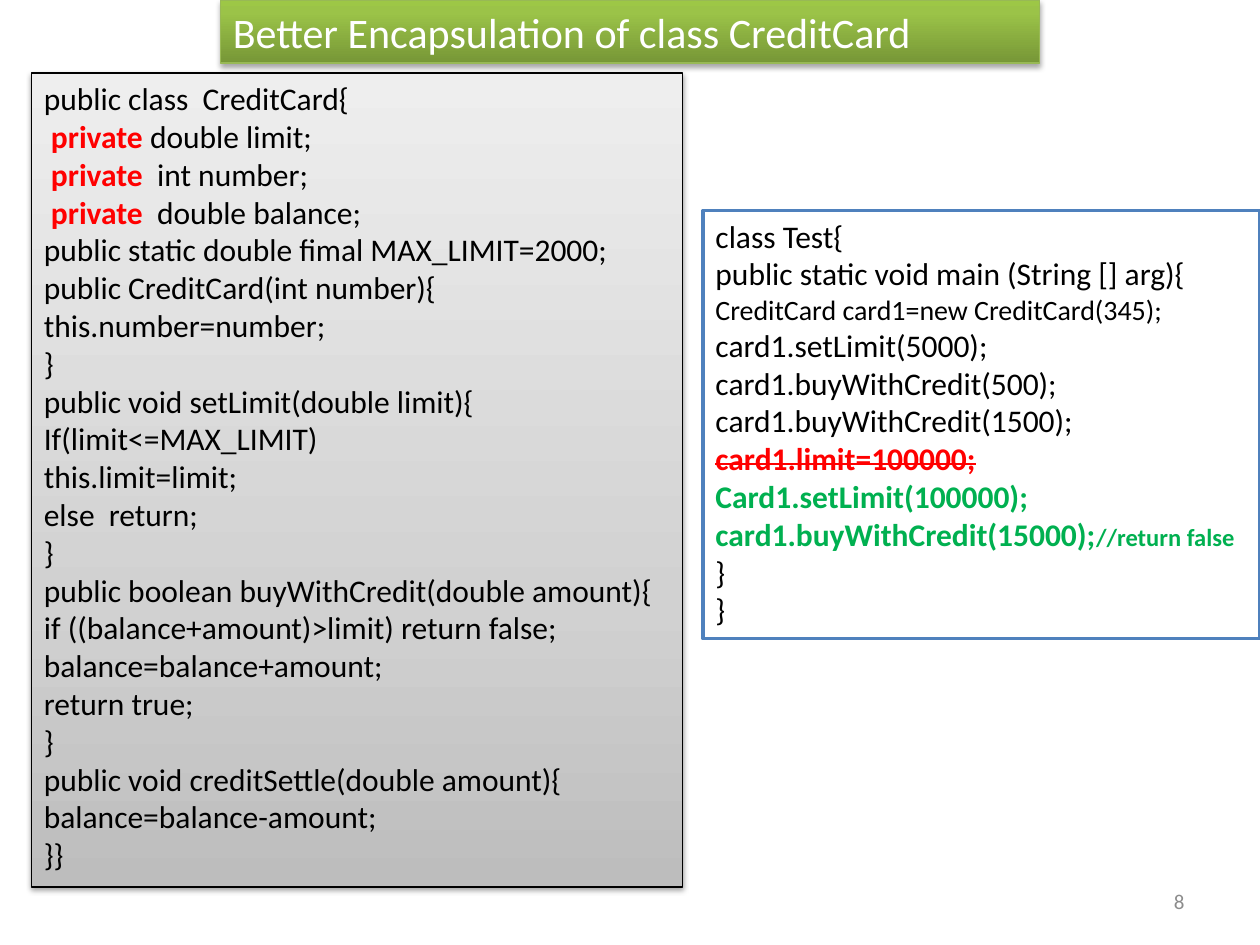
from lxml.etree import SubElement
from pptx import Presentation
from pptx.dml.color import RGBColor
from pptx.enum.shapes import MSO_SHAPE
from pptx.enum.text import MSO_ANCHOR, MSO_AUTO_SIZE, PP_ALIGN
from pptx.oxml.ns import qn
from pptx.util import Pt

EMU_PER_PX = 9144
BLACK, WHITE, RED, GREEN = "000000", "FFFFFF", "FF0000", "00B050"
ALERT = {"color": RED, "bold": True}
FIXED = {"color": GREEN, "bold": True}

CARD_CODE = [
    "public class  CreditCard{",
    [" ", ("private", ALERT), " double limit;"],
    [" ", ("private  ", ALERT), "int number;"],
    [" ", ("private", ALERT), "  double balance;"],
    "public static double fimal MAX_LIMIT=2000;",
    "public CreditCard(int number){",
    "this.number=number;",
    "}",
    "public void setLimit(double limit){",
    "If(limit<=MAX_LIMIT)",
    "this.limit=limit;",
    "else  return;",
    "}",
    "public boolean buyWithCredit(double amount){",
    "if ((balance+amount)>limit) return false;",
    "balance=balance+amount;",
    "return true;",
    "}",
    "public void creditSettle(double amount){",
    "balance=balance-amount;",
    "}}",
]
TEST_CODE = [
    "class Test{",
    "public static void main (String [] arg){",
    [("CreditCard card1=new CreditCard(345);", {"size": 16})],
    "card1.setLimit(5000);",
    "card1.buyWithCredit(500);",
    "card1.buyWithCredit(1500);",
    [("card1.limit=100000;", {**ALERT, "strike": True})],
    [("Card1.setLimit(100000);", FIXED)],
    [("card1.buyWithCredit(15000);", FIXED), ("//return false", {**FIXED, "size": 14})],
    "}",
    "}",
]


def px(length):
    return length * EMU_PER_PX


def rgb(color):
    return RGBColor.from_string(color)


class SlideBuilder:
    """Holds the text style and current slide, and adds each kind of element."""

    def __init__(self, page, font="Calibri"):
        self.page = page
        self.font = font

    def format_run(self, span, size, color, bold=False, strike=False):
        span.font.name = self.font
        span.font.size = Pt(size)
        span.font.bold = bold
        span.font.color.rgb = rgb(color)
        if strike:
            span._r.get_or_add_rPr().set("strike", "sngStrike")

    def add_lines(self, frame, lines, size, color, align=PP_ALIGN.LEFT):
        frame.word_wrap = True
        for index, line in enumerate(lines):
            para = frame.add_paragraph() if index else frame.paragraphs[0]
            para.alignment = align
            for part in [line] if isinstance(line, str) else line:
                text, style = (part, {}) if isinstance(part, str) else part
                span = para.add_run()
                span.text = text
                self.format_run(span, **{"size": size, "color": color, **style})

    def panel(self, bounds, lines, size, color, line_color, line_width):
        box = self.page.shapes.add_shape(MSO_SHAPE.RECTANGLE, *map(px, bounds))
        box.shadow.inherit = False
        box.fill.solid()
        box.fill.fore_color.rgb = rgb(WHITE)
        box.line.color.rgb = rgb(line_color)
        box.line.width = Pt(line_width)
        box.text_frame.vertical_anchor = MSO_ANCHOR.TOP
        box.text_frame.auto_size = MSO_AUTO_SIZE.SHAPE_TO_FIT_TEXT
        self.add_lines(box.text_frame, lines, size, color)
        return box

    def gradient(self, box, stops):
        box.fill.gradient()
        box.fill.gradient_angle = 90
        stop_list = box._element.spPr.find(".//" + qn("a:gsLst"))
        for stop in list(stop_list):
            stop_list.remove(stop)
        for percent, color in stops:
            stop = SubElement(stop_list, qn("a:gs"), pos=str(percent * 1000))
            SubElement(stop, qn("a:srgbClr"), val=color)

    def shadow(self, box, opacity, distance):
        effects = box._element.spPr.find(qn("a:effectLst"))
        shade = SubElement(effects, qn("a:outerShdw"), blurRad="40000",
                           dist=str(distance), dir="5400000", rotWithShape="0")
        tone = SubElement(shade, qn("a:srgbClr"), val=BLACK)
        SubElement(tone, qn("a:alpha"), val=str(opacity * 1000))

    def page_number(self, bounds, text):
        box = self.page.shapes.add_textbox(*map(px, bounds))
        box.text_frame.vertical_anchor = MSO_ANCHOR.MIDDLE
        self.add_lines(box.text_frame, [text], 12, "8C8C8C", PP_ALIGN.RIGHT)


def main():
    deck = Presentation()
    deck.slide_width, deck.slide_height = px(1000), px(750)
    builder = SlideBuilder(deck.slides.add_slide(deck.slide_layouts[6]))

    builder.page_number((717, 695, 233, 40), "8")

    card = builder.panel((25, 58, 517, 646), CARD_CODE, 18, BLACK, BLACK, 0.75)
    builder.gradient(card, [(0, "BDBDBD"), (35, "D1D1D1"), (100, "EEEEEE")])
    builder.shadow(card, 38, 20000)

    title = builder.panel((175, 0, 650, 50), ["Better Encapsulation of class CreditCard"],
                          24, WHITE, "98B955", 0.75)
    builder.gradient(title, [(0, "779737"), (80, "9BC348"), (100, "9DC746")])
    builder.shadow(title, 35, 23000)

    builder.panel((558, 167, 442, 340), TEST_CODE, 18, BLACK, "4F81BD", 2)

    deck.save("out.pptx")


if __name__ == "__main__":
    main()
